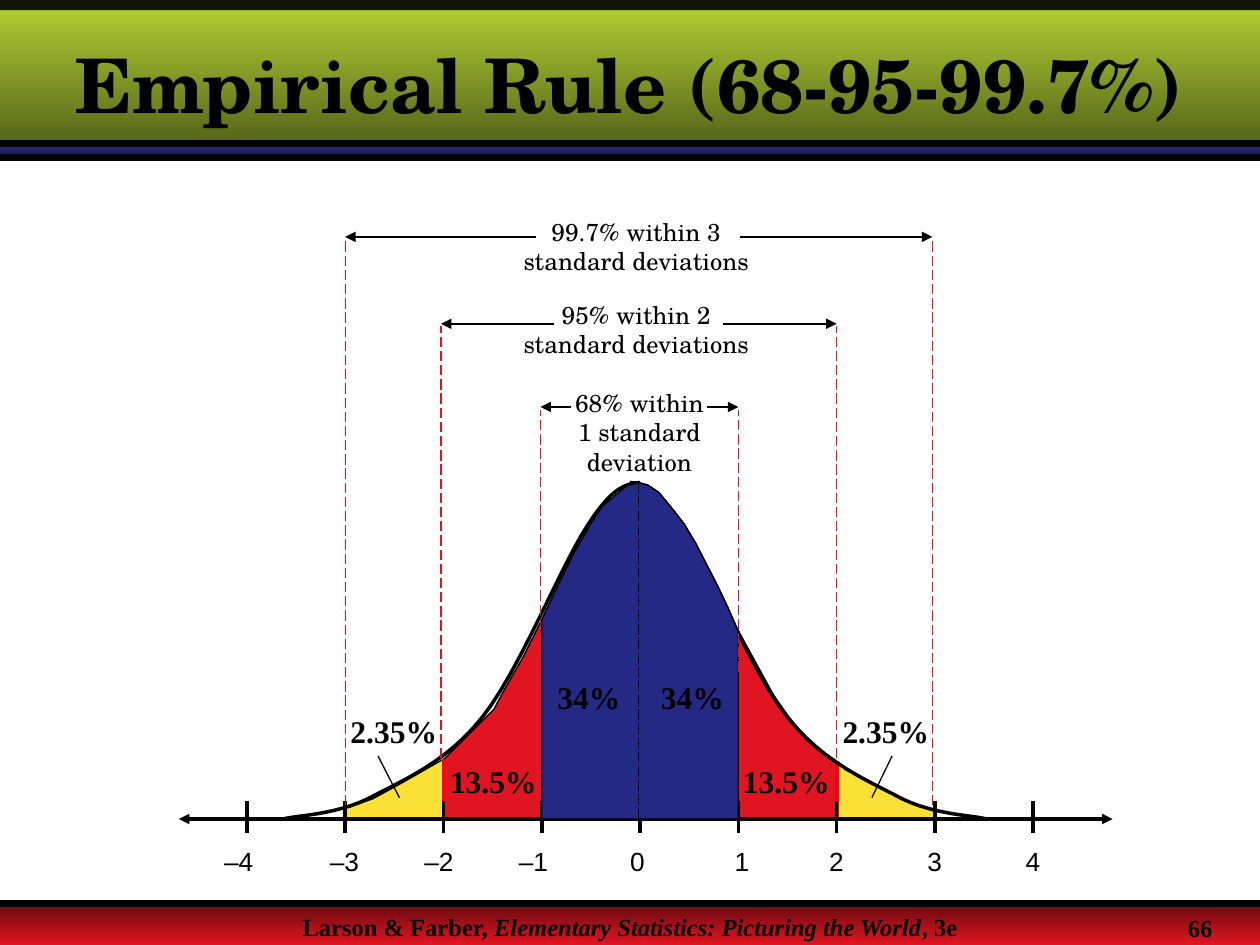
from lxml import etree
from pptx import Presentation
from pptx import util as u
from pptx.dml.color import RGBColor
from pptx.enum import dml, shapes, text
from pptx.oxml.ns import qn

W, H = 10, 7.5
SERIF, SCHOOL, SANS = "Times New Roman", "TeX Gyre Schola", "Arial"
COLORS = {
    "black": "000000", "white": "FFFFFF", "red": "E11521", "bright red": "FF0000",
    "yellow": "FBE136", "blue": "242985", "dark red": "680A0F", "dark blue": "11133E",
    "lime": "B5D335", "olive": "546219",
}

TITLE = "Empirical Rule (68-95-99.7%)"
SOURCE = [("Larson & Farber, ", False),
          ("Elementary Statistics: Picturing the World", True), (", 3e", False)]
PAGE = "66"

# top, height, gradient from, gradient to
BANDS = [(7.17, 0.33, "dark red", "red"), (1.17, 0.08, "blue", "dark blue"),
         (0, 1.17, "lime", "olive")]
RULES = [1.25, 7.17, 1.14]

# the axis: middle, one standard deviation, height
MEAN, SD, BASE = 5.08, 0.78, 6.5
AXIS_ENDS = (1.42, 8.83)
# label, left of its box, width, alignment
TICK_LABELS = [("–4", 1.58, 0.43, "right"), ("–3", 2.42, 0.43, "right"),
               ("–2", 3.17, 0.43, "right"), ("–1", 3.92, 0.43, "right"),
               ("0", 5, 0.12, "left"), ("1", 5.83, 0.12, "left"), ("2", 6.58, 0.12, "left"),
               ("3", 7.36, 0.12, "left"), ("4", 8.14, 0.12, "left")]

# top edge of the shaded area, left to right
BELL = [(2.76, 6.41), (2.96, 6.34), (3.18, 6.22), (3.53, 6.02), (3.8, 5.75), (3.92, 5.63),
        (3.99, 5.5), (4.15, 5.22), (4.31, 4.9), (4.4, 4.71), (4.55, 4.4), (4.65, 4.23),
        (4.7, 4.14), (4.78, 4.02), (4.9, 3.92), (4.97, 3.86), (5.06, 3.83), (5.14, 3.85),
        (5.23, 3.91), (5.36, 4.07), (5.43, 4.16), (5.52, 4.31), (5.7, 4.66), (5.78, 4.83),
        (5.85, 4.99), (6.14, 5.52), (6.33, 5.79), (6.42, 5.89), (6.52, 5.96), (6.65, 6.05),
        (6.71, 6.11), (7.16, 6.34), (7.33, 6.41), (7.42, 6.43)]
# left half of the curve as joined Bezier arcs; the right half mirrors it
HALF_CURVE = [(5.08, 3.83), (4.98, 3.84), (4.87, 3.85), (4.67, 4.16), (4.46, 4.47),
              (4.12, 5.33), (3.83, 5.69), (3.54, 6.06), (3.18, 6.2), (2.92, 6.34),
              (2.65, 6.47), (2.36, 6.47), (2.25, 6.5)]
MIRROR = 10.08

# wording, box, arrow height, outer ends, inner ends, foot of the dashed lines
RANGES = [
    ("68% within 1 standard deviation", (4.41, 3.03, 1.33, 0.8), 3.23,
     (4.29, 5.86), (4.53, 5.61), 5.33),
    ("95% within 2 standard deviations", (4.05, 2.33, 2, 0.57), 2.57,
     (3.5, 6.64), (4.4, 5.74), 6.02),
    ("99.7% within 3 standard deviations", (4.01, 1.67, 2.08, 0.57), 1.88,
     (2.74, 7.4), (4.25, 5.87), 6.39),
]
# share, left of its box, top, width
SHARES = [("34%", 4.26, 5.33, 0.83), ("34%", 5.08, 5.33, 0.83),
          ("13.5%", 3.42, 6, 0.99), ("13.5%", 5.78, 6, 0.92),
          ("2.35%", 2.63, 5.6, 0.99), ("2.35%", 6.57, 5.6, 0.92)]
POINTERS = [(3, 3.17), (7.08, 6.92)]

ALIGN = {"left": text.PP_ALIGN.LEFT, "center": text.PP_ALIGN.CENTER,
         "right": text.PP_ALIGN.RIGHT}

prs = Presentation()
prs.slide_width, prs.slide_height = u.Inches(W), u.Inches(H)
slide = prs.slides.add_slide(prs.slide_layouts[6])


def rgb(name):
    return RGBColor.from_string(COLORS[name])


def write(runs, box, size, font=SERIF, bold=False, align="center", inset=(0.1, 0.05),
          anchor=text.MSO_ANCHOR.TOP):
    """Add a text box; runs is a string or a list of (string, italic)."""
    frame = slide.shapes.add_textbox(*map(u.Inches, box)).text_frame
    frame.word_wrap = True
    frame.vertical_anchor = anchor
    frame.margin_left = frame.margin_right = u.Inches(inset[0])
    frame.margin_top = frame.margin_bottom = u.Inches(inset[1])
    paragraph = frame.paragraphs[0]
    paragraph.alignment = ALIGN[align]
    for words, italic in [(runs, False)] if isinstance(runs, str) else runs:
        run = paragraph.add_run()
        run.text = words
        run.font.name, run.font.size = font, u.Pt(size)
        run.font.bold, run.font.italic = bold, italic
        run.font.color.rgb = rgb("black")


def line(x1, y1, x2, y2, width=0.75, color="black", dashed=False, arrows=()):
    """Add a straight line; arrows holds "headEnd" (start) and/or "tailEnd"."""
    rule = slide.shapes.add_connector(
        shapes.MSO_CONNECTOR.STRAIGHT, *map(u.Inches, (x1, y1, x2, y2)))
    rule.line.width = u.Pt(width)
    rule.line.color.rgb = rgb(color)
    if dashed:
        rule.line.dash_style = dml.MSO_LINE.LONG_DASH
    properties = rule._element.spPr
    for end in arrows:
        etree.SubElement(properties.find(qn("a:ln")), qn("a:" + end), type="triangle")
    etree.SubElement(properties, qn("a:effectLst"))


def band(top, height):
    bar = slide.shapes.add_shape(
        shapes.MSO_SHAPE.RECTANGLE, *map(u.Inches, (0, top, W, height)))
    bar.shadow.inherit = False
    bar.line.fill.background()
    return bar


def outline(points, width, fill=None):
    """Add a freeform, closed when it has a fill."""
    spots = [(u.Inches(x), u.Inches(y)) for x, y in points]
    builder = slide.shapes.build_freeform(*spots[0])
    builder.add_line_segments(spots[1:], close=fill is not None)
    form = builder.convert_to_shape()
    form.shadow.inherit = False
    form.line.width = u.Pt(width)
    form.line.color.rgb = rgb("black")
    if fill:
        form.fill.solid()
        form.fill.fore_color.rgb = rgb(fill)
    else:
        form.fill.background()


def bell_height(x):
    for (x1, y1), (x2, y2) in zip(BELL, BELL[1:]):
        if x1 <= x <= x2:
            return y1 + (y2 - y1) * (x - x1) / (x2 - x1)
    return BELL[0][1] if x < BELL[0][0] else BELL[-1][1]


def shade(deviations, color):
    """Fill the area under the bell within so many standard deviations."""
    left, right = MEAN - deviations * SD, MEAN + deviations * SD
    top = [point for point in BELL if left < point[0] < right]
    outline([(left, BASE), (left, bell_height(left)), *top,
             (right, bell_height(right)), (right, BASE)], 0.75, color)


def bezier(points, steps=12):
    curve = [points[0]]
    for i in range(0, len(points) - 1, 3):
        for t in (step / steps for step in range(1, steps + 1)):
            weights = ((1 - t) ** 3, 3 * t * (1 - t) ** 2, 3 * t * t * (1 - t), t ** 3)
            curve.append(tuple(sum(w * p[axis] for w, p in zip(weights, points[i:i + 4]))
                               for axis in (0, 1)))
    return curve


for top, height, start, end in BANDS:
    fill = band(top, height).fill
    fill.gradient()
    fill.gradient_angle = 270
    for stop, color in zip(fill.gradient_stops, (start, end)):
        stop.color.rgb = rgb(color)
top_strip = band(0, 0.08)
top_strip.fill.solid()
top_strip.fill.fore_color.rgb = rgb("black")
etree.SubElement(top_strip._element.spPr.find(".//" + qn("a:srgbClr")),
                 qn("a:alpha"), val="90000")
for y in RULES:
    line(0, y, W, y, 4)
write(SOURCE, (0, 7.19, W, 0.2), 14, bold=True)
write(PAGE, (9.33, 7.2, 0.6, 0.34), 14, bold=True, align="left")
write(TITLE, (0, 0.25, 9.98, 0.83), 43, SCHOOL, bold=True, anchor=text.MSO_ANCHOR.MIDDLE)

shade(3, "yellow")
shade(2, "red")
for side in (-2, 2):
    x = MEAN + side * SD
    line(x, BASE, x, bell_height(x), 2.25, "bright red")

line(AXIS_ENDS[0], BASE, AXIS_ENDS[1], BASE, 2, arrows=("headEnd", "tailEnd"))
for deviation, (label, left, width, align) in enumerate(TICK_LABELS, -4):
    x = MEAN + deviation * SD
    line(x, BASE - 0.14, x, BASE + 0.11, 2)
    write(label, (left, 6.71, width, 0.25), 15, SANS, align=align, inset=(0, 0))
half = bezier(HALF_CURVE)
outline(half, 2)
outline([(MIRROR - x, y) for x, y in half], 2)
shade(1, "blue")
line(MEAN - 0.01, BASE, MEAN - 0.01, 3.83, dashed=True)

for wording, box, y, outer, inner, foot in RANGES:
    write(wording, box, 14, SCHOOL)
    for end, start in zip(outer, inner):
        line(end, foot, end, y + 0.02, color="red", dashed=True)
        line(start, y, end, y, 1, arrows=("tailEnd",))
for share, left, top, width in SHARES:
    write(share, (left, top, width, 0.4), 18, bold=True)
for start, end in POINTERS:
    line(start, 6, end, 6.33)

prs.save("out.pptx")
